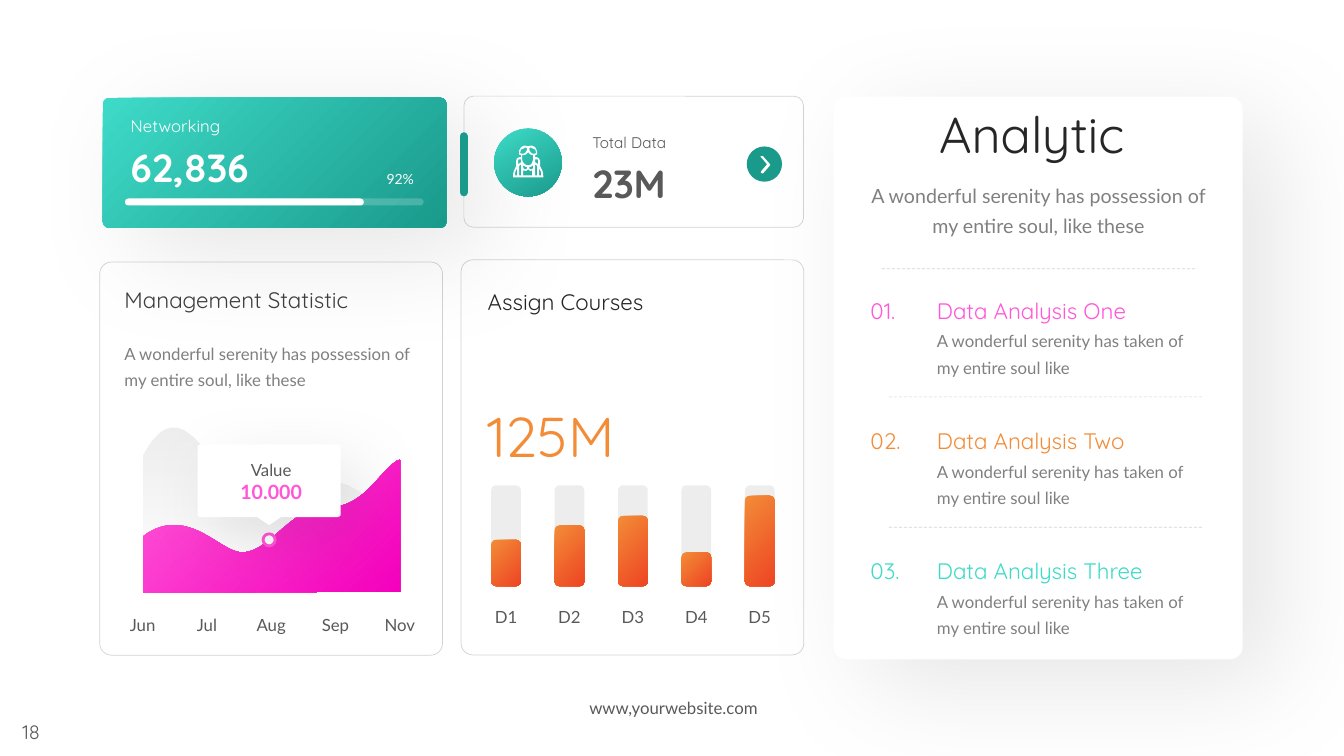
from dataclasses import dataclass, field
from typing import Any, Optional

import lxml.etree
import pptx
import pptx.dml.color
import pptx.enum.dml
import pptx.enum.shapes
import pptx.enum.text
import pptx.oxml.ns
import pptx.util

Pt = pptx.util.Pt
RGB = pptx.dml.color.RGBColor
MSO = pptx.enum.shapes.MSO_SHAPE
ALIGN = pptx.enum.text.PP_ALIGN
qn = pptx.oxml.ns.qn

WHITE, BLACK = RGB(0xFF, 0xFF, 0xFF), RGB(0, 0, 0)
INK, DARK = RGB(0x26, 0x26, 0x26), RGB(0x40, 0x40, 0x40)
SLATE, GREY, SILVER = RGB(0x59, 0x59, 0x59), RGB(0x80, 0x80, 0x80), RGB(0xA6, 0xA6, 0xA6)
PINK, MAGENTA = RGB(0xFF, 0x57, 0xD7), RGB(0xF5, 0x00, 0xBD)
ORANGE, RED = RGB(0xF3, 0x8C, 0x37), RGB(0xED, 0x45, 0x23)
MINT, TEAL = RGB(0x3E, 0xDA, 0xC8), RGB(0x1A, 0x9A, 0x8B)
LATO, QUICKSAND = "Lato", "Quicksand"
GRID = 0.72  # points per step of the outline coordinates


@dataclass
class Paint:
    """One colour, or two for a gradient; angle is clockwise, alphas in percent."""
    colors: tuple
    alphas: tuple = (100, 100)
    angle: int = 45


@dataclass
class Stroke:
    color: RGB
    width: float
    alpha: int = 100


@dataclass
class Shadow:
    blur: float
    distance: float
    direction: int


@dataclass
class Box:
    kind: Any
    left: float
    top: float
    width: float
    height: float
    paint: Optional[Paint] = None
    stroke: Optional[Stroke] = None
    radius: Optional[float] = None
    shadow: Optional[Shadow] = None


@dataclass
class Label:
    left: float
    top: float
    width: float
    height: float
    text: str
    size: float
    font: str
    paint: Paint
    bold: bool = False
    bottom: bool = False
    para: dict = field(default_factory=dict)


SOLID_WHITE, SOLID_SLATE, SOLID_GREY = Paint((WHITE,)), Paint((SLATE,)), Paint((GREY,))
PINKS, ORANGES, MINTS = Paint((PINK, MAGENTA)), Paint((ORANGE, RED)), Paint((MINT, TEAL))
TRACK = Paint((SILVER,), (20,))
BORDER = Stroke(SILVER, 0.5, 50)
CARD_SHADOW, TIP_SHADOW = Shadow(80, 30, 35), Shadow(50, 20, 45)
BODY = {"line_spacing": 1.3, "space_after": Pt(6)}
CENTRED = {**BODY, "alignment": ALIGN.CENTER}
STAT = {"line_spacing": 1.3, "space_before": Pt(12)}

GREY_AREA = ("M 171 424 C 201 422 223 492 240 492 C 266 490 291 470 324 476 C 352 477 378 507 397 515 "
             "L 397 587 L 142 587 L 142 451 L 146 444 C 152 434 160 425 171 424")
PINK_AREA = ("M 397 456 L 397 587 L 142 588 L 142 532 L 146 529 C 153 525 160 521 172 521 "
             "C 201 520 224 549 241 548 C 267 548 291 501 324 503 C 360 505 375 469 394 457")
TOOLTIP = ("M 199 441 L 335 441 C 336 441 338 442 338 443 L 338 511 C 338 512 336 513 335 513 L 279 513 "
           "L 267 521 L 255 513 L 199 513 C 197 513 196 512 196 511 L 196 443 C 196 442 197 441 199 441")
CHEVRON = ("M 764 163 L 757 155 C 756 154 756 154 755 155 C 754 155 754 156 755 156 L 761 163 L 755 170 "
           "C 754 171 755 172 756 172 L 757 172 L 764 164 C 764.5 163.5 764.5 163.5 764 163")
PERSON = ("M 536 165 L 536 160 C 536 158 534 156 533 156 L 531 156 L 531 154 C 532 154 532 153 533 153 "
          "C 533 151 533 148 531 146 C 529 144 526 144 524 145 C 521 144 519 144 517 146 "
          "C 515 148 514 151 515 153 C 515 153 516 154 517 154 L 517 156 L 515 156 "
          "C 513 156 512 158 512 160 L 512 165 C 510 168 509 171 509 175 L 509 176 L 539 176 L 539 175 "
          "C 539 171 538 168 536 165 "
          "M 528 174 L 519 174 L 519 169 C 521 170 523 170 524 168 C 525 170 527 170 528 169 "
          "M 529 158 C 529 161 527 164 524 164 C 521 164 518 161 518 158 L 518 154 "
          "C 521 154 523 153 524 151 C 525 153 527 154 529 154")
PERSON_LEFT = ("M 516 152 C 516 149 517 147 520 147 C 521 146 522 146 523 147 C 523 151 520 154 516 152 "
               "M 513 174 L 511 174 C 511 172 511 169 513 167 "
               "M 514 160 C 514 159 514 158 515 158 L 517 158 C 517 159 517 160 517 161 "
               "C 516 162 515 162 514 163 M 517 174 L 515 174 L 515 165 C 515 164 516 164 517 163 "
               "M 519 166 C 519 165 519 165 519 164 C 521 165 522 166 523 166 L 523 167 "
               "C 523 167 522 168 521 168 C 520 168 519 167 519 166")
PERSON_AXIS = 524


def commands(outline: str) -> list:
    """Split an outline into (letter, points) pairs."""
    words = iter(outline.split())
    return [(cmd, [(float(next(words)), float(next(words))) for _ in range(3 if cmd == "C" else 1)])
            for cmd in words]


def set_alpha(el: Any, alphas: tuple) -> None:
    for clr, alpha in zip(el.iter(qn("a:srgbClr")), alphas):
        if alpha < 100:
            lxml.etree.SubElement(clr, qn("a:alpha"), val=str(alpha * 1000))


def apply_paint(fill: Any, paint: Paint) -> None:
    if len(paint.colors) == 1:
        fill.solid()
        fill.fore_color.rgb = paint.colors[0]
        return
    fill.gradient()
    fill.gradient_angle = 360 - paint.angle
    for stop, color in zip(fill.gradient_stops, paint.colors):
        stop.color.rgb = color


def apply_stroke(sp: Any, stroke: Stroke) -> Any:
    sp.line.color.rgb = stroke.color
    sp.line.width = Pt(stroke.width)
    ln = sp._element.spPr.find(qn("a:ln"))
    set_alpha(ln, (stroke.alpha,))
    return ln


def finish(sp: Any, paint: Optional[Paint], stroke: Optional[Stroke], shadow: Optional[Shadow]) -> None:
    sp.shadow.inherit = False
    if paint:
        apply_paint(sp.fill, paint)
        set_alpha(sp._element.spPr, paint.alphas)
    else:
        sp.fill.background()
    if stroke:
        apply_stroke(sp, stroke)
    else:
        sp.line.fill.background()
    if shadow:
        effects = sp._element.spPr.find(qn("a:effectLst"))
        outer = lxml.etree.SubElement(effects, qn("a:outerShdw"), blurRad=str(Pt(shadow.blur)),
                                      dist=str(Pt(shadow.distance)), dir=str(shadow.direction * 60000))
        lxml.etree.SubElement(outer, qn("a:srgbClr"), val=str(BLACK))
        set_alpha(outer, (10,))


def draw_box(s: Any, b: Box) -> None:
    sp = s.shapes.add_shape(b.kind, Pt(b.left), Pt(b.top), Pt(b.width), Pt(b.height))
    if b.radius is not None:
        sp.adjustments[0] = b.radius
    finish(sp, b.paint, b.stroke, b.shadow)


def draw_outline(s: Any, cmds: list, paint: Paint, shadow: Optional[Shadow] = None) -> None:
    loops = []
    for cmd, pts in cmds:
        if cmd == "M":
            loops.append([])
        loops[-1] += [(Pt(x * GRID), Pt(y * GRID)) for x, y in pts]
    builder = s.shapes.build_freeform(*loops[0][0])
    for i, loop in enumerate(loops):
        if i:
            builder.move_to(*loop[0])
        builder.add_line_segments(loop[1:], close=True)
    sp = builder.convert_to_shape()
    # Join the three segments of each curve into one Bezier command
    segments = iter(list(sp._element.spPr.iter(qn("a:lnTo"))))
    for cmd, pts in cmds:
        if cmd == "L":
            next(segments)
        elif cmd == "C":
            first, *others = [next(segments) for _ in pts]
            first.tag = qn("a:cubicBezTo")
            for other in others:
                first.append(other[0])
                other.getparent().remove(other)
    finish(sp, paint, None, shadow)


def draw_label(s: Any, b: Label) -> None:
    tf = s.shapes.add_textbox(Pt(b.left), Pt(b.top), Pt(b.width), Pt(b.height)).text_frame
    frame = {"word_wrap": True, "auto_size": pptx.enum.text.MSO_AUTO_SIZE.SHAPE_TO_FIT_TEXT}
    if b.bottom:
        frame["vertical_anchor"] = pptx.enum.text.MSO_ANCHOR.BOTTOM
    p = tf.paragraphs[0]
    r = p.add_run()
    r.text = b.text
    font = {"name": b.font, "size": Pt(b.size), "bold": b.bold}
    for target, values in ((tf, frame), (p, b.para), (r.font, font)):
        for name, value in values.items():
            setattr(target, name, value)
    apply_paint(r.font.fill, b.paint)


def draw_line(s: Any, x1: float, y1: float, x2: float, y2: float, stroke: Stroke, dashed: bool) -> None:
    line = s.shapes.add_connector(pptx.enum.shapes.MSO_CONNECTOR.STRAIGHT, Pt(x1), Pt(y1), Pt(x2), Pt(y2))
    ln = apply_stroke(line, stroke)
    if dashed:
        line.line.dash_style = pptx.enum.dml.MSO_LINE.DASH
    else:
        ln.set("cap", "rnd")
    lxml.etree.SubElement(line._element.spPr, qn("a:effectLst"))


def draw_management(s: Any) -> None:
    draw_box(s, Box(MSO.ROUNDED_RECTANGLE, 71.3, 187.2, 244.8, 280.8, None, BORDER, 0.034))
    draw_outline(s, commands(GREY_AREA), Paint((SILVER, SILVER), (20, 0), 90))
    draw_outline(s, commands(PINK_AREA), PINKS)
    draw_box(s, Box(MSO.OVAL, 187.9, 381.3, 8.64, 8.64, SOLID_WHITE, Stroke(PINK, 2)))
    for i, month in enumerate(("Jun", "Jul", "Aug", "Sep", "Nov")):
        draw_label(s, Label(81.8 + 45.9 * i, 431.3, 40.3, 24, month, 12, LATO, SOLID_SLATE, para=CENTRED))
    draw_outline(s, commands(TOOLTIP), SOLID_WHITE, TIP_SHADOW)
    for label in (
        Label(153.4, 334.1, 80.6, 26.6, "10.000", 14, LATO, Paint((PINK,)), True, para=CENTRED),
        Label(153.4, 320.4, 80.6, 24, "Value", 12, LATO, SOLID_SLATE, para=CENTRED),
        Label(81.8, 195.1, 224.6, 30.2, "Management Statistic", 16, QUICKSAND, Paint((DARK,)), para=BODY),
        Label(81.8, 237.6, 224.6, 41.8, "A wonderful serenity has possession of my entire soul, like these",
              12, LATO, SOLID_GREY, para=BODY),
    ):
        draw_label(s, label)


def draw_courses(s: Any) -> None:
    draw_box(s, Box(MSO.ROUNDED_RECTANGLE, 329.4, 185.6, 244.8, 282.2, None, BORDER, 0.034))
    draw_label(s, Label(341.3, 196.6, 221, 30.2, "Assign Courses", 16, QUICKSAND, Paint((INK,)), para=BODY))
    draw_label(s, Label(340.9, 268.6, 222.5, 64, "125M", 40, QUICKSAND, Paint((ORANGE,)), para=BODY))
    for i, height in enumerate((33.1, 43.4, 50.2, 24.1, 64.6)):
        left, bottom = 350.9 + 45.3 * i, 418.7
        draw_label(s, Label(left - 18.2, 425.5, 57.6, 24.5, f"D{i + 1}", 12, LATO, SOLID_SLATE, para=CENTRED))
        for h, paint in ((72, TRACK), (height, ORANGES)):
            draw_box(s, Box(MSO.ROUNDED_RECTANGLE, left, bottom - h, 21.2, h, paint))


def draw_analytic(s: Any) -> None:
    for i, (name, paint) in enumerate((("One", PINKS), ("Two", ORANGES), ("Three", MINTS))):
        top = 203 + 92.9 * i
        for left, y, width, height, text, size, font, fill in (
            (614.7, top, 42.5, 25.9, f"0{i + 1}.", 16, QUICKSAND, paint),
            (662.2, top, 205.2, 25.9, f"Data Analysis {name}", 16, QUICKSAND, paint),
            (662.2, top + 25.7, 205.2, 42.5, "A wonderful serenity has taken of my entire soul like",
             12, LATO, SOLID_GREY),
        ):
            draw_label(s, Label(left, y, width, height, text, size, font, fill, para=BODY))
    for x, y in ((635, 283.5), (635, 376.6), (630, 192)):
        draw_line(s, x, y, x + 223.9, y, BORDER, True)
    draw_label(s, Label(607.2, 69.8, 269.3, 51.1, "Analytic ", 36, QUICKSAND, Paint((INK,)),
                        para={"alignment": ALIGN.CENTER, "space_after": Pt(6)}))
    draw_label(s, Label(607.2, 122.6, 269.3, 49, "A wonderful serenity has possession of my entire soul, like these",
                        14, LATO, SOLID_GREY, para=CENTRED))


def draw_networking(s: Any) -> None:
    for box in (Box(MSO.ROUNDED_RECTANGLE, 73.4, 69.8, 245.5, 92.9, MINTS, None, 0.047, CARD_SHADOW),
                Box(MSO.ROUNDED_RECTANGLE, 100.1, 141.8, 202.5, 5, Paint((WHITE,), (20,)), None, 0.5),
                Box(MSO.ROUNDED_RECTANGLE, 89.3, 141.8, 170.6, 5, SOLID_WHITE, None, 0.5)):
        draw_box(s, box)
    for label in (Label(86.3, 74.5, 107.3, 24.5, "Networking", 12, QUICKSAND, SOLID_WHITE, para=BODY),
                  Label(86.3, 88.6, 130.3, 46.8, "62,836", 28, QUICKSAND, SOLID_WHITE, True, para=BODY),
                  Label(266, 116.2, 36.7, 20.9, "92%", 10, LATO, SOLID_WHITE, bottom=True,
                        para={**BODY, "alignment": ALIGN.RIGHT})):
        draw_label(s, label)


def draw_total(s: Any) -> None:
    draw_box(s, Box(MSO.ROUNDED_RECTANGLE, 331.4, 68.7, 242.6, 93.6, None, BORDER, 0.072))
    draw_box(s, Box(MSO.OVAL, 533.4, 104.6, 25.2, 25.2, Paint((TEAL,))))
    draw_outline(s, commands(CHEVRON), SOLID_WHITE)
    draw_label(s, Label(416, 87.8, 111.6, 23, "Total Data", 11, QUICKSAND, SOLID_SLATE, para=STAT))
    draw_label(s, Label(416, 100.1, 84.2, 46.8, "23M", 28, QUICKSAND, SOLID_SLATE, True, para=STAT))
    draw_box(s, Box(MSO.OVAL, 352.9, 91.9, 48.4, 48.4, Paint((MINT, TEAL), angle=60)))
    left = commands(PERSON_LEFT)
    right = [(cmd, [(2 * PERSON_AXIS - x, y) for x, y in pts]) for cmd, pts in left]
    draw_outline(s, commands(PERSON) + left + right, SOLID_WHITE)
    draw_line(s, 331.2, 97.2, 331.2, 137.5, Stroke(TEAL, 5.5), False)


def main() -> None:
    prs = pptx.Presentation()
    prs.slide_width, prs.slide_height = Pt(960), Pt(540)
    s = prs.slides.add_slide(prs.slide_layouts[6])
    # Page number, then the white panel behind everything else
    middle = {"alignment": ALIGN.CENTER}
    draw_label(s, Label(0, 510.5, 44.6, 24.5, "18", 14, QUICKSAND, SOLID_SLATE, para=middle))
    draw_box(s, Box(MSO.ROUNDED_RECTANGLE, 595.4, 69.1, 292.3, 401.8, SOLID_WHITE, None, 0.031, CARD_SHADOW))
    # Cards
    draw_management(s)
    draw_label(s, Label(393.3, 494.6, 175.7, 21.6, "www,yourwebsite.com", 12, LATO, SOLID_SLATE, para=middle))
    for draw in (draw_courses, draw_analytic, draw_networking, draw_total):
        draw(s)
    prs.save("out.pptx")


if __name__ == "__main__":
    main()
